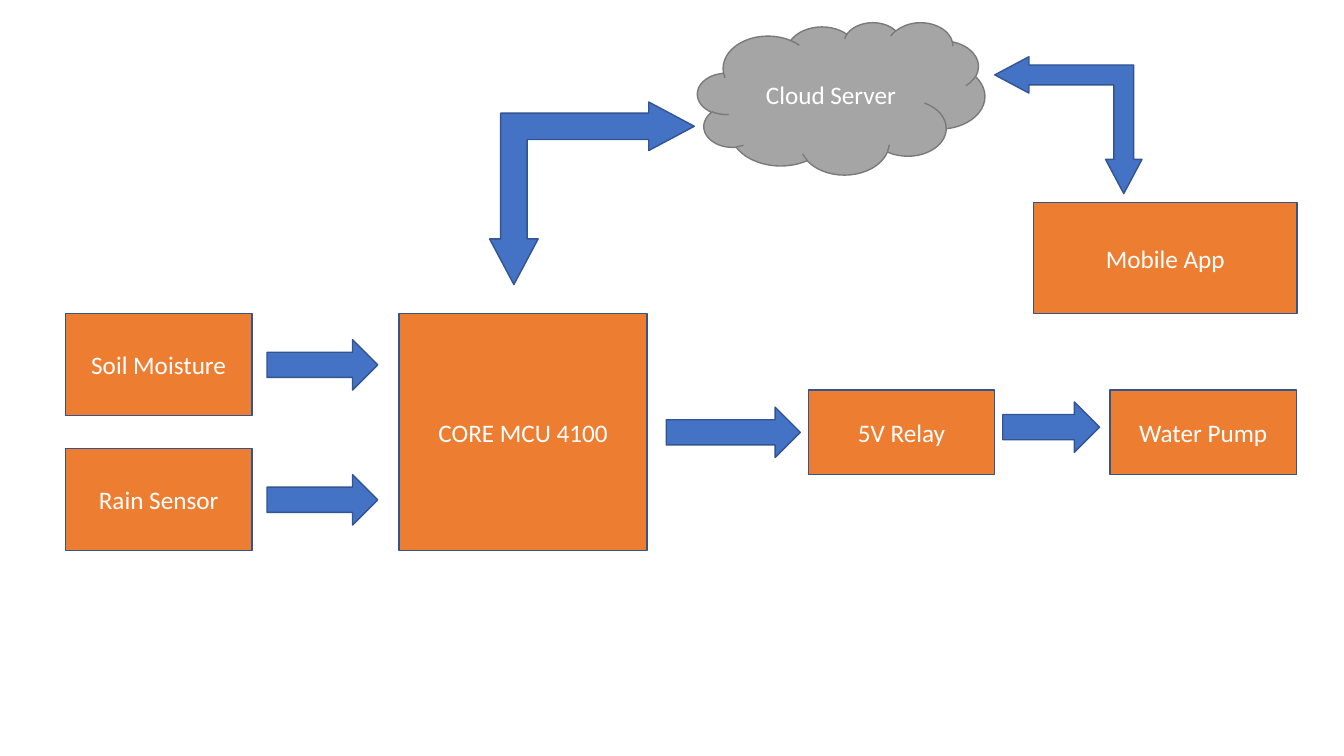
from pptx import Presentation
from pptx.dml.color import RGBColor
from pptx.enum.shapes import MSO_SHAPE
from pptx.enum.text import MSO_ANCHOR, PP_ALIGN
from pptx.oxml.ns import qn
from pptx.util import Cm, Pt

ORANGE, BLUE, NAVY = "ED7D31", "4472C4", "325491"
GREY, SLATE, WHITE = "A5A5A5", "7A7A7A", "FFFFFF"


def paint(fill, color):
    """Set a fill to a solid hex colour."""
    fill.solid()
    fill.fore_color.rgb = RGBColor.from_string(color)


def draw(kind, box, color, edge=NAVY, text=""):
    """Add a shape at box (left, top, width, height in cm), with optional text."""
    shape = slide.shapes.add_shape(kind, *[Cm(n) for n in box])
    shape.shadow.inherit = False
    paint(shape.fill, color)
    paint(shape.line.fill, edge)
    shape.line.width = Pt(1)
    if text:
        frame = shape.text_frame
        frame.word_wrap = True
        frame.vertical_anchor = MSO_ANCHOR.MIDDLE
        para = frame.paragraphs[0]
        para.alignment = PP_ALIGN.CENTER
        run = para.add_run()
        run.text = text
        run.font.name = "Calibri"
        run.font.size = Pt(18)
        paint(run.font.fill, WHITE)
    return shape


deck = Presentation()
deck.slide_width, deck.slide_height = Cm(33.87), Cm(19.05)
slide = deck.slides.add_slide(deck.slide_layouts[6])
paint(slide.background.fill, WHITE)

# Devices
devices = [
    ("CORE MCU 4100", (10.06, 7.9, 6.25, 5.97)),
    ("Soil Moisture", (1.65, 7.9, 4.7, 2.57)),
    ("Rain Sensor", (1.65, 11.3, 4.7, 2.57)),
    ("5V Relay", (20.37, 9.83, 4.7, 2.13)),
    ("Water Pump", (27.97, 9.83, 4.7, 2.13)),
    ("Mobile App", (26.04, 5.11, 6.65, 2.79)),
]
for name, box in devices:
    draw(MSO_SHAPE.RECTANGLE, box, ORANGE, text=name)

draw(MSO_SHAPE.CLOUD, (17.58, 0.56, 7.24, 3.84), GREY, SLATE, "Cloud Server")

# Straight arrows: left, top, width
flows = [
    (6.73, 8.56, 2.79),
    (6.73, 11.96, 2.79),
    (16.79, 10.26, 3.38),
    (25.27, 10.13, 2.44),
]
for left, top, width in flows:
    draw(MSO_SHAPE.RIGHT_ARROW, (left, top, width, 1.27), BLUE)

# Bent two-way arrows between the server, the board and the app
links = [
    ((12.62, 2.29, 4.6, 5.16), ["flipH"]),
    ((25.2, 1.3, 3.45, 3.71), ["flipH", "flipV"]),
]
for box, flips in links:
    arrow = draw(MSO_SHAPE.LEFT_UP_ARROW, box, BLUE)
    arrow.rotation = 90
    for spot, size in enumerate((0.145, 0.133, 0.25)):
        arrow.adjustments[spot] = size
    frame = arrow.element.spPr.find(qn("a:xfrm"))
    for flip in flips:
        frame.set(flip, "1")

deck.save("out.pptx")
